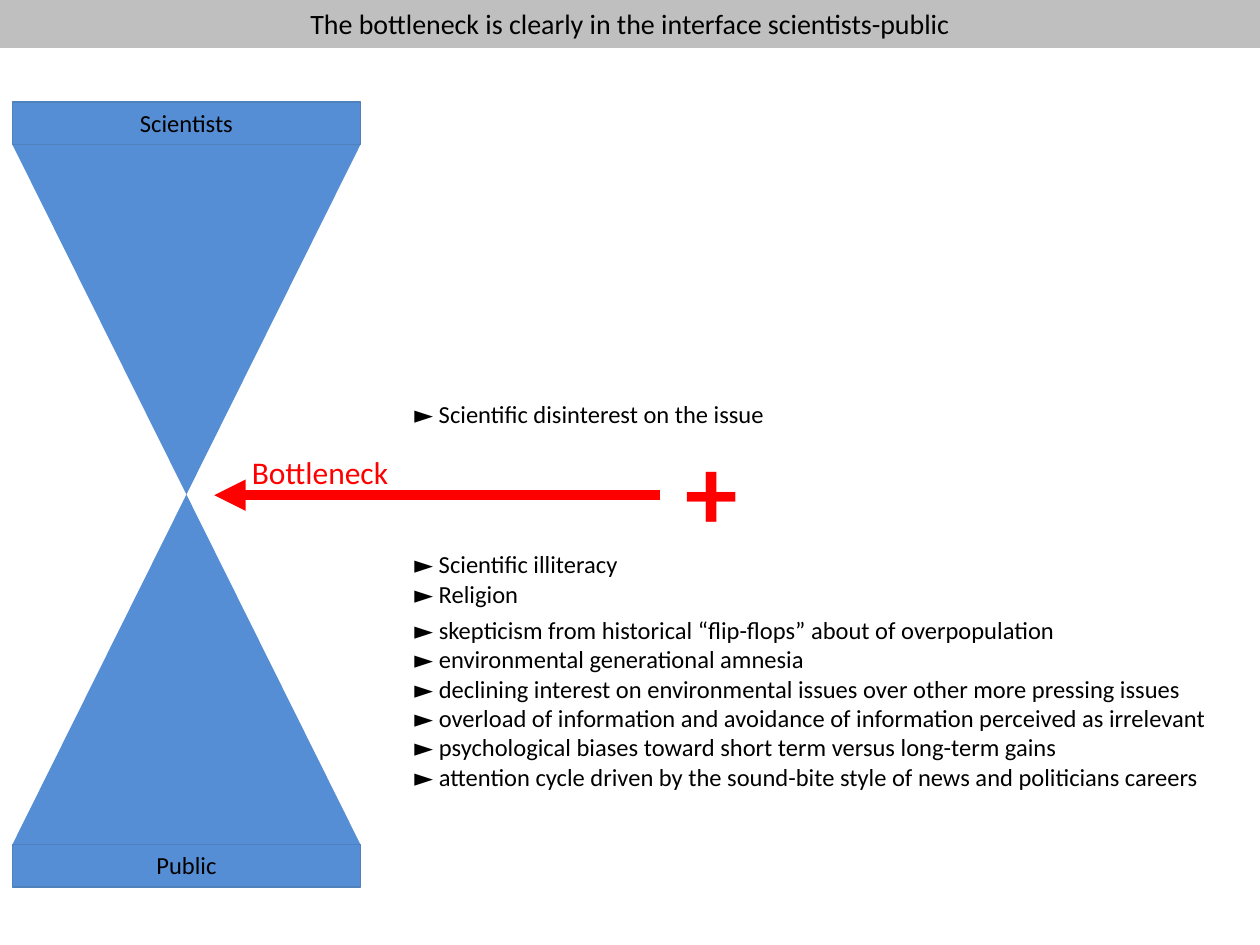
"""Build the slide about the bottleneck between scientists and the public."""
import pptx
import pptx.util
import pptx.dml.color
import pptx.enum.shapes
import pptx.enum.text
import pptx.oxml
import pptx.oxml.ns

Inches = pptx.util.Inches
Pt = pptx.util.Pt
SHAPE = pptx.enum.shapes.MSO_SHAPE
ALIGN = pptx.enum.text.PP_ALIGN
ANCHOR = pptx.enum.text.MSO_ANCHOR

COLORS = {
    "banner": "BFBFBF",
    "glass": "558ED5",
    "edge": "4F81BD",
    "accent": "FF0000",
    "text": "000000",
}
GLASS_LEFT, GLASS_WIDTH = 0.1, 2.76
GLASS_TOP, GLASS_HEIGHT = 1.15, 5.55
CAP_HEIGHT = 0.34
LIST_LEFT = 3.19

SCIENTIST_CAUSES = ["Scientific disinterest on the issue"]
PUBLIC_CAUSES = ["Scientific illiteracy", "Religion"]
ATTITUDES = [
    "skepticism from historical “flip-flops” about of overpopulation",
    "environmental generational amnesia",
    "declining interest on environmental issues over other more pressing issues",
    "overload of information and avoidance of information perceived as irrelevant",
    "psychological biases toward short term versus long-term gains",
    "attention cycle driven by the sound-bite style of news and politicians careers",
]


def rgb(name):
    return pptx.dml.color.RGBColor.from_string(COLORS[name])


def write(tf, lines, size, color="text", bold=False, align=ALIGN.LEFT):
    for i, line in enumerate(lines):
        p = tf.add_paragraph() if i else tf.paragraphs[0]
        p.alignment = align
        r = p.add_run()
        r.text = line
        r.font.name = "Calibri"
        r.font.size = Pt(size)
        r.font.bold = bold
        r.font.color.rgb = rgb(color)


def add_text(shapes, box, lines, size, wrap=True, **style):
    sp = shapes.add_textbox(*map(Inches, box))
    tf = sp.text_frame
    tf.word_wrap = wrap
    tf.auto_size = pptx.enum.text.MSO_AUTO_SIZE.SHAPE_TO_FIT_TEXT
    write(tf, lines, size, **style)


def add_causes(shapes, top, width, height, causes):
    lines = [f"► {cause}" for cause in causes]
    add_text(shapes, (LIST_LEFT, top, width, height), lines, 14)


def add_block(shapes, kind, box, fill, line=None):
    sp = shapes.add_shape(kind, *map(Inches, box))
    sp.shadow.inherit = False
    sp.fill.solid()
    sp.fill.fore_color.rgb = rgb(fill)
    if line:
        sp.line.color.rgb = rgb(line)
        sp.line.width = Pt(0.75)
    else:
        sp.line.fill.background()
    return sp


def add_label(shapes, box, fill, line, text, size):
    sp = add_block(shapes, SHAPE.RECTANGLE, box, fill, line)
    tf = sp.text_frame
    tf.word_wrap = True
    tf.vertical_anchor = ANCHOR.TOP
    write(tf, [text], size, align=ALIGN.CENTER)


def add_arrow(shapes, start, end, color, width):
    cxn = shapes.add_connector(
        pptx.enum.shapes.MSO_CONNECTOR.STRAIGHT, *map(Inches, start + end))
    cxn.line.color.rgb = rgb(color)
    cxn.line.width = Pt(width)
    tail = pptx.oxml.parse_xml(
        f'<a:tailEnd {pptx.oxml.ns.nsdecls("a")} type="triangle"/>')
    cxn.line._get_or_add_ln().append(tail)
    effects = pptx.oxml.parse_xml(
        f'<a:effectLst {pptx.oxml.ns.nsdecls("a")}/>')
    cxn._element.spPr.append(effects)


def add_hourglass(s):
    shapes = s.shapes.add_group_shape().shapes
    add_block(shapes, SHAPE.FLOWCHART_COLLATE,
              (GLASS_LEFT, GLASS_TOP, GLASS_WIDTH, GLASS_HEIGHT), "glass")
    caps = {"Scientists": GLASS_TOP - CAP_HEIGHT,
            "Public": GLASS_TOP + GLASS_HEIGHT}
    for text, top in caps.items():
        add_label(shapes, (GLASS_LEFT, top, GLASS_WIDTH, CAP_HEIGHT),
                  "glass", "edge", text, 14)


def add_bottleneck(s):
    shapes = s.shapes.add_group_shape().shapes
    add_arrow(shapes, (5.24, 3.93), (1.7, 3.93), "accent", 6)
    add_text(shapes, (1.9, 3.55, 1.3, 0.4), ["Bottleneck"], 18, color="accent")


def main():
    prs = pptx.Presentation()
    prs.slide_width, prs.slide_height = Inches(10), Inches(7.5)
    s = prs.slides.add_slide(prs.slide_layouts[6])
    add_causes(s.shapes, 4.83, 6.81, 1.51, ATTITUDES)
    add_label(s.shapes, (0, 0, 10, 0.38), "banner", "banner",
              "The bottleneck is clearly in the interface scientists-public", 16)
    add_hourglass(s)
    add_causes(s.shapes, 4.31, 5, 0.57, PUBLIC_CAUSES)
    add_causes(s.shapes, 3.12, 5, 0.34, SCIENTIST_CAUSES)
    add_text(s.shapes, (5.34, 3.33, 0.62, 1.11), ["+"], 60, wrap=False,
             color="accent", bold=True)
    add_bottleneck(s)
    prs.save("out.pptx")


if __name__ == "__main__":
    main()
